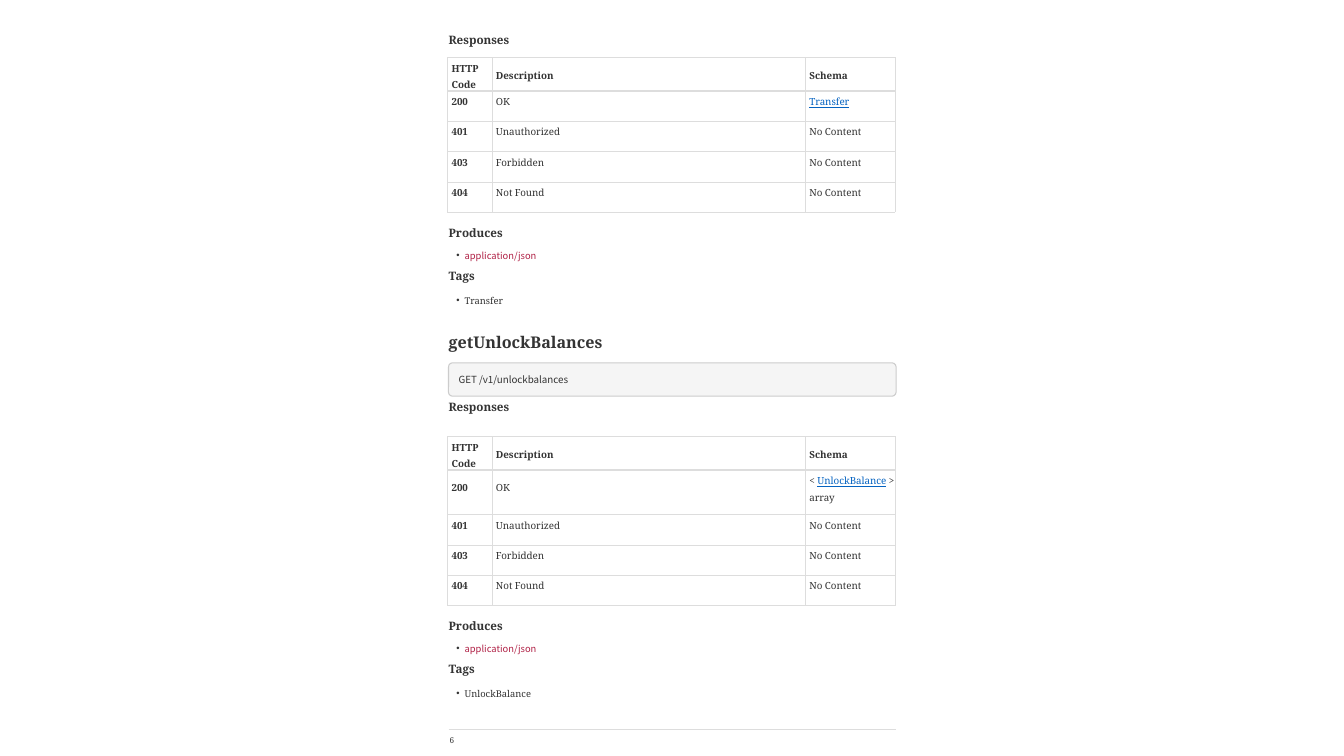
from lxml.etree import SubElement
from pptx import Presentation
from pptx.dml.color import RGBColor as Rgb
from pptx.enum.shapes import MSO_CONNECTOR as Connector, MSO_SHAPE as Shape
from pptx.enum.text import MSO_ANCHOR as Anchor, MSO_AUTO_SIZE as AutoSize, PP_ALIGN as Align
from pptx.oxml.ns import qn
from pptx.util import Pt

COLORS = {"ink": "333333", "link": "0563C1", "code": "B02045",
          "rule": "DDDDDD", "panel": "F5F5F5", "edge": "CCCCCC"}
SERIF, SANS = "Noto Serif", "Noto Sans CJK JP"
LEFT, WIDTH = 319.7, 319.7
COLUMNS = (31.7, 223.9, 64.1)
HEADER_HEIGHT, ROW_HEIGHT = 22.4, 21.6
ERRORS = (("401", "Unauthorized"), ("403", "Forbidden"), ("404", "Not Found"))


class ApiPage:
    """Holds the style and the current slide."""

    def __init__(self, deck):
        self.slide = deck.slides.add_slide(deck.slide_layouts[3])
        self.shapes = self.slide.shapes

    def color(self, name):
        return Rgb.from_string(COLORS[name])

    def style(self, para, size, bold=False, face=SERIF, color="ink", before=0, indent=0):
        para.alignment = Align.LEFT
        para.space_before = Pt(before)
        props = para._p.get_or_add_pPr()
        props.set("marL", str(Pt(indent)))
        if props.get("indent") is None:
            props.set("indent", "0")
        font = para.font
        font.name, font.size, font.bold = face, Pt(size), bold
        font.color.rgb = self.color(color)

    def frame(self, box, left, top, width, height):
        box.left, box.top, box.width, box.height = map(Pt, (left, top, width, height))
        frame = box.text_frame
        frame.margin_left = frame.margin_right = frame.margin_bottom = 0
        frame.margin_top = Pt(0.7)
        frame.word_wrap = True
        frame.auto_size = AutoSize.NONE
        frame.vertical_anchor = Anchor.TOP
        return frame

    def text(self, left, top, width, height, *lines):
        box = self.shapes.add_textbox(0, 0, 0, 0)
        frame = self.frame(box, left, top, width, height)
        for index, (words, style) in enumerate(lines):
            para = frame.add_paragraph() if index else frame.paragraphs[0]
            para.text = words
            self.style(para, **style)

    def title(self, words, top):
        frame = self.frame(self.shapes.title, LEFT, top, 120, 14.4)
        frame.text = words
        self.style(frame.paragraphs[0], 11.5, bold=True, indent=0.7)

    def bullet(self, para):
        para.space_before = Pt(0)
        props = para._p.get_or_add_pPr()
        props.set("indent", str(-Pt(5.8)))
        tint = SubElement(props, qn("a:buClr"))
        SubElement(tint, qn("a:srgbClr"), val=COLORS["ink"])
        SubElement(props, qn("a:buChar"), char="•")
        tabs = SubElement(props, qn("a:tabLst"))
        SubElement(tabs, qn("a:tab"), pos=str(Pt(13.7)), algn="l")

    def plain(self, para):
        para.space_before = Pt(0)
        SubElement(para._p.get_or_add_pPr(), qn("a:buNone"))

    def lists(self, index, top, tag):
        frame = self.frame(self.slide.placeholders[index], 318.2, top, 69.1, 60.5)
        heading = dict(size=8.3, bold=True, indent=2.2)
        item = dict(size=6.7, indent=13.7)
        lines = (("Produces", self.plain, heading),
                 ("application/json", self.bullet,
                  dict(item, face=SANS, color="code", before=7.2)),
                 ("Tags", self.plain, dict(heading, before=5.5)),
                 (tag, self.bullet, dict(item, before=8.6)))
        for position, (words, mark, style) in enumerate(lines):
            para = frame.add_paragraph() if position else frame.paragraphs[0]
            para.text = words
            mark(para)
            self.style(para, **style)

    def borders(self, cell, **widths):
        props = cell._tc.get_or_add_tcPr()
        for position, side in enumerate(("L", "R", "T", "B")):
            line = SubElement(props, qn("a:ln" + side), w=str(Pt(widths.get(side, 0.5))))
            fill = SubElement(line, qn("a:solidFill"))
            SubElement(fill, qn("a:srgbClr"), val=COLORS["rule"])
            props.remove(line)
            props.insert(position, line)

    def cell(self, cell, spans, top, bold, spacing=None):
        cell.margin_left = cell.margin_right = cell.margin_bottom = 0
        cell.margin_top = Pt(top)
        cell.fill.background()
        para = cell.text_frame.paragraphs[0]
        for words, linked in spans:
            span = para.add_run()
            span.text = words
            if linked:
                span.font.color.rgb = self.color("link")
                span.font.underline = True
        if spacing:
            para.line_spacing = spacing
        self.style(para, 7, bold=bold, indent=2.9)

    def responses(self, top, schema, ok_height=ROW_HEIGHT, ok_top=2.9, schema_top=2.9,
                  spacing=None):
        heights = [HEADER_HEIGHT, ok_height] + [ROW_HEIGHT] * len(ERRORS)
        table = self.shapes.add_table(len(heights), len(COLUMNS), Pt(LEFT), Pt(top),
                                      Pt(WIDTH), Pt(sum(heights))).table
        table.first_row = table.horz_banding = False
        for column, width in zip(table.columns, COLUMNS):
            column.width = Pt(width)
        for row, height in zip(table.rows, heights):
            row.height = Pt(height)

        # Header row
        for column, (words, inset) in enumerate(
                (("HTTP", 3.6), ("Description", 8.5), ("Schema", 8.5))):
            self.cell(table.cell(0, column), [(words, False)], inset, True)
        code = table.cell(0, 0).text_frame.add_paragraph()
        code.text = "Code"
        self.style(code, 7, bold=True, before=1.6, indent=2.9)

        # Success row
        for column, words in enumerate(("200", "OK")):
            self.cell(table.cell(1, column), [(words, False)], ok_top, column == 0)
        self.cell(table.cell(1, 2), schema, schema_top, False, spacing)

        # Error rows
        for row, error in enumerate(ERRORS, 2):
            for column, words in enumerate(error + ("No Content",)):
                self.cell(table.cell(row, column), [(words, False)], 2.9, column == 0)

        # A heavier rule parts the header from the rows
        for row in range(len(heights)):
            for column in range(len(COLUMNS)):
                self.borders(table.cell(row, column), T=1.5 if row == 1 else 0.5,
                             B=1.5 if row == 0 else 0.5)

    def panel(self, left, top, width, height):
        box = self.shapes.add_shape(Shape.ROUNDED_RECTANGLE, Pt(left), Pt(top),
                                    Pt(width), Pt(height))
        box.adjustments[0] = 0.12
        box.shadow.inherit = False
        box.fill.solid()
        box.fill.fore_color.rgb = self.color("panel")
        box.line.color.rgb = self.color("edge")
        box.line.width = Pt(0.75)

    def rule(self, left, top, width):
        line = self.shapes.add_connector(Connector.STRAIGHT, Pt(left), Pt(top),
                                         Pt(left + width), Pt(top))
        line.line.color.rgb = self.color("rule")
        line.line.width = Pt(0.25)
        SubElement(line._element.spPr, qn("a:effectLst"))


def main():
    deck = Presentation()
    deck.slide_width, deck.slide_height = Pt(960), Pt(540)
    page = ApiPage(deck)
    heading = dict(size=8.3, bold=True, indent=0.7)

    # Transfer endpoint
    page.text(LEFT, 23, 46, 10.8, ("Responses", heading))
    page.responses(41, [("Transfer", True)])
    page.lists(1, 160.6, "Transfer")

    # Unlock balances endpoint
    page.title("getUnlockBalances", 236.9)
    page.panel(320.4, 259.2, WIDTH, 23.8)
    page.text(LEFT, 266.4, WIDTH, 29.5,
              ("GET /v1/unlockbalances", dict(size=7, face=SANS, indent=7.9)),
              ("Responses", dict(heading, before=10)))
    page.responses(311.8, [("< ", False), ("UnlockBalance", True), (" > array", False)],
                   ok_height=31.7, ok_top=7.9, schema_top=0.7, spacing=1.25)
    page.lists(2, 441.4, "UnlockBalance")

    # Footer
    page.rule(320.4, 520.6, WIDTH)
    page.text(320.4, 524.2, 10, 7.9, ("6", dict(size=5.8, indent=0.7)))

    deck.save("out.pptx")


if __name__ == "__main__":
    main()
